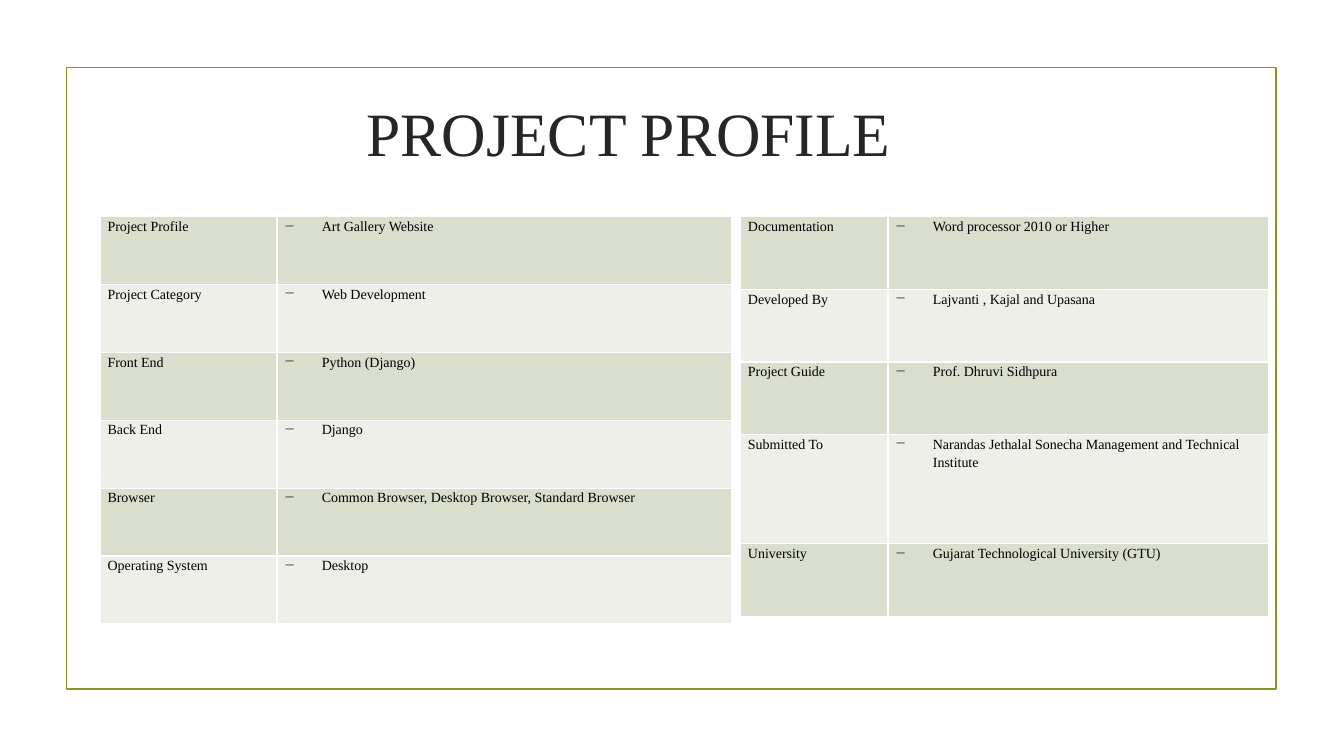
from lxml import etree
from pptx import Presentation
from pptx.dml.color import RGBColor
from pptx.enum import shapes, text
from pptx.oxml.ns import qn
from pptx.util import Cm, Pt

FONT = "Times New Roman"
BANDS = ("D9DECD", "EDEFE8")

PROJECT_ROWS = [
    ("Project Profile", "Art Gallery Website"),
    ("Project Category", "Web Development"),
    ("Front End", "Python (Django)"),
    ("Back End", "Django"),
    ("Browser", "Common Browser, Desktop Browser, Standard Browser"),
    ("Operating System", "Desktop"),
]
PEOPLE_ROWS = [
    ("Documentation", "Word processor 2010 or Higher"),
    ("Developed By", "Lajvanti , Kajal and Upasana"),
    ("Project Guide", "Prof. Dhruvi Sidhpura"),
    ("Submitted To", "Narandas Jethalal Sonecha Management and Technical Institute"),
    ("University", "Gujarat Technological University (GTU)"),
]


def colour(value):
    return RGBColor.from_string(value)


def add_span(para, words, size, ink):
    span = para.add_run()
    span.text = words
    span.font.name = FONT
    span.font.size = Pt(size)
    span.font.color.rgb = colour(ink)


def add_frame(page):
    frame = page.shapes.add_shape(
        shapes.MSO_SHAPE.RECTANGLE, Cm(1.68), Cm(1.7), Cm(30.48), Cm(15.67))
    frame.shadow.inherit = False
    frame.fill.background()
    frame.line.color.rgb = colour("83992A")
    frame.line.width = Pt(1.25)


def set_title(page, words):
    title = page.shapes.title
    title.left, title.top, title.width, title.height = Cm(5.54), Cm(2.11), Cm(19.46), Cm(2.84)
    box = title.text_frame
    box.word_wrap = True
    box.auto_size = text.MSO_AUTO_SIZE.NONE
    box.vertical_anchor = text.MSO_ANCHOR.TOP
    # A wider left inset moves the centred heading to the right
    box.margin_left, box.margin_top = Cm(1.42), Cm(0.29)
    para = box.paragraphs[0]
    para.alignment = text.PP_ALIGN.CENTER
    para.line_spacing = 1.0
    add_span(para, words, 44, "262626")


def set_borders(cell):
    properties = cell._tc.get_or_add_tcPr()
    for side in ("lnL", "lnR", "lnT", "lnB"):
        line = etree.SubElement(properties, qn(f"a:{side}"), w=str(Pt(1)))
        fill = etree.SubElement(line, qn("a:solidFill"))
        etree.SubElement(fill, qn("a:srgbClr"), val="FFFFFF")


def add_dash_bullet(para):
    properties = para._p.get_or_add_pPr()
    properties.set("marL", str(Cm(0.95)))
    properties.set("indent", str(Cm(-0.95)))
    etree.SubElement(properties, qn("a:buChar"), char="−")


def fill_cell(cell, words, band, bulleted):
    set_borders(cell)
    cell.fill.solid()
    cell.fill.fore_color.rgb = colour(band)
    cell.margin_left = cell.margin_right = Cm(0.18)
    cell.margin_top = cell.margin_bottom = 0
    para = cell.text_frame.paragraphs[0]
    if bulleted:
        add_dash_bullet(para)
    para.line_spacing = 1.15
    add_span(para, words, 10, "000000")


def add_profile_table(page, rows, left, widths, heights):
    table = page.shapes.add_table(
        len(rows), 2, Cm(left), Cm(5.46), Cm(sum(widths)), Cm(sum(heights))).table
    table.first_row = table.horz_banding = False
    for column, width in zip(table.columns, widths):
        column.width = Cm(width)
    for index, (entry, height) in enumerate(zip(rows, heights)):
        table.rows[index].height = Cm(height)
        for place, words in enumerate(entry):
            fill_cell(table.cell(index, place), words, BANDS[index % 2], place == 1)


def main():
    deck = Presentation()
    deck.slide_width, deck.slide_height = Cm(33.87), Cm(19.05)
    page = deck.slides.add_slide(deck.slide_layouts[5])

    # Frame and heading
    add_frame(page)
    set_title(page, "PROJECT PROFILE")

    # Project facts on the left, people and documents on the right
    add_profile_table(page, PROJECT_ROWS, 2.53, (4.45, 11.46), [1.71] * 6)
    add_profile_table(page, PEOPLE_ROWS, 18.67, (3.71, 9.58), [1.83] * 3 + [2.75, 1.83])

    deck.save("out.pptx")


if __name__ == "__main__":
    main()
